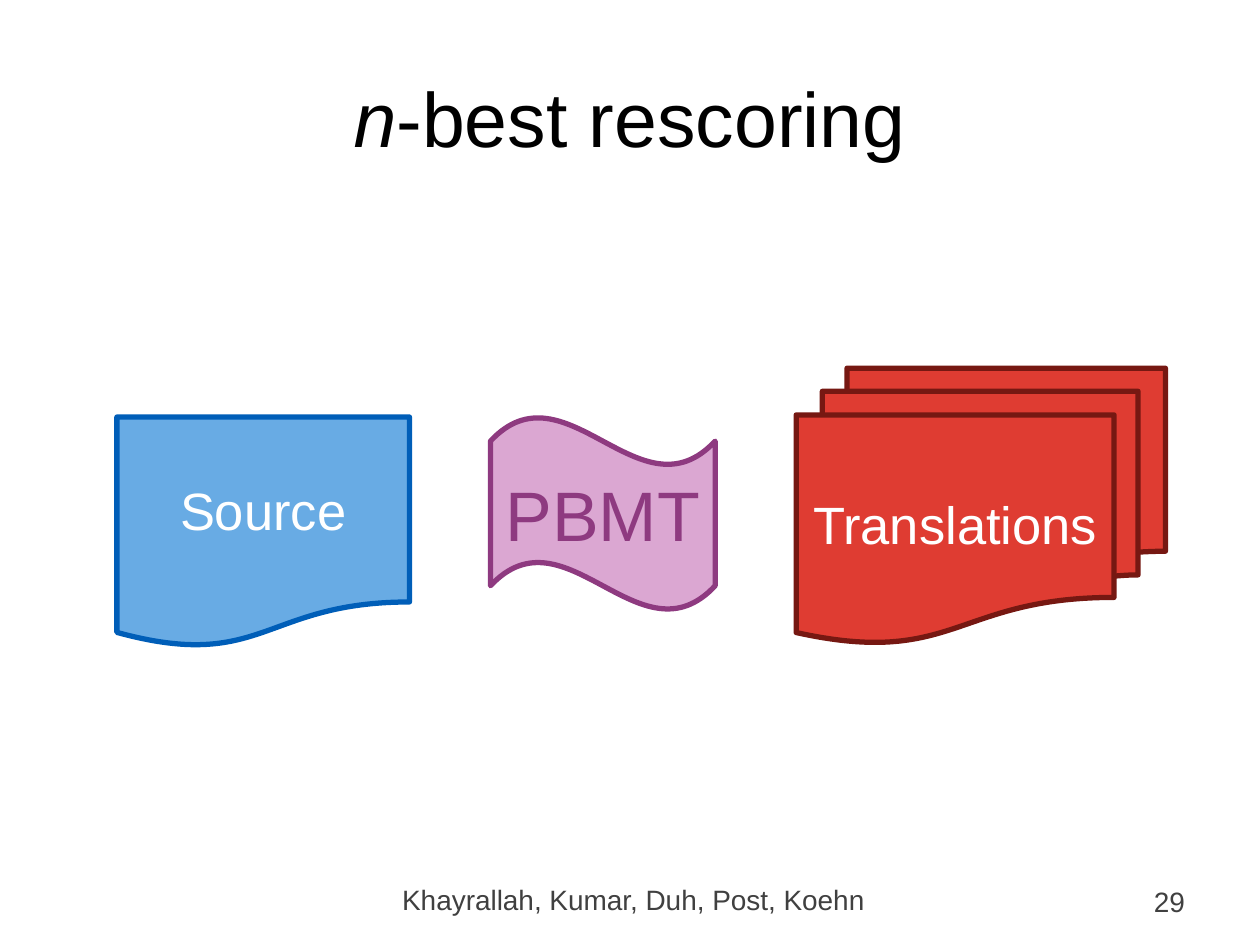
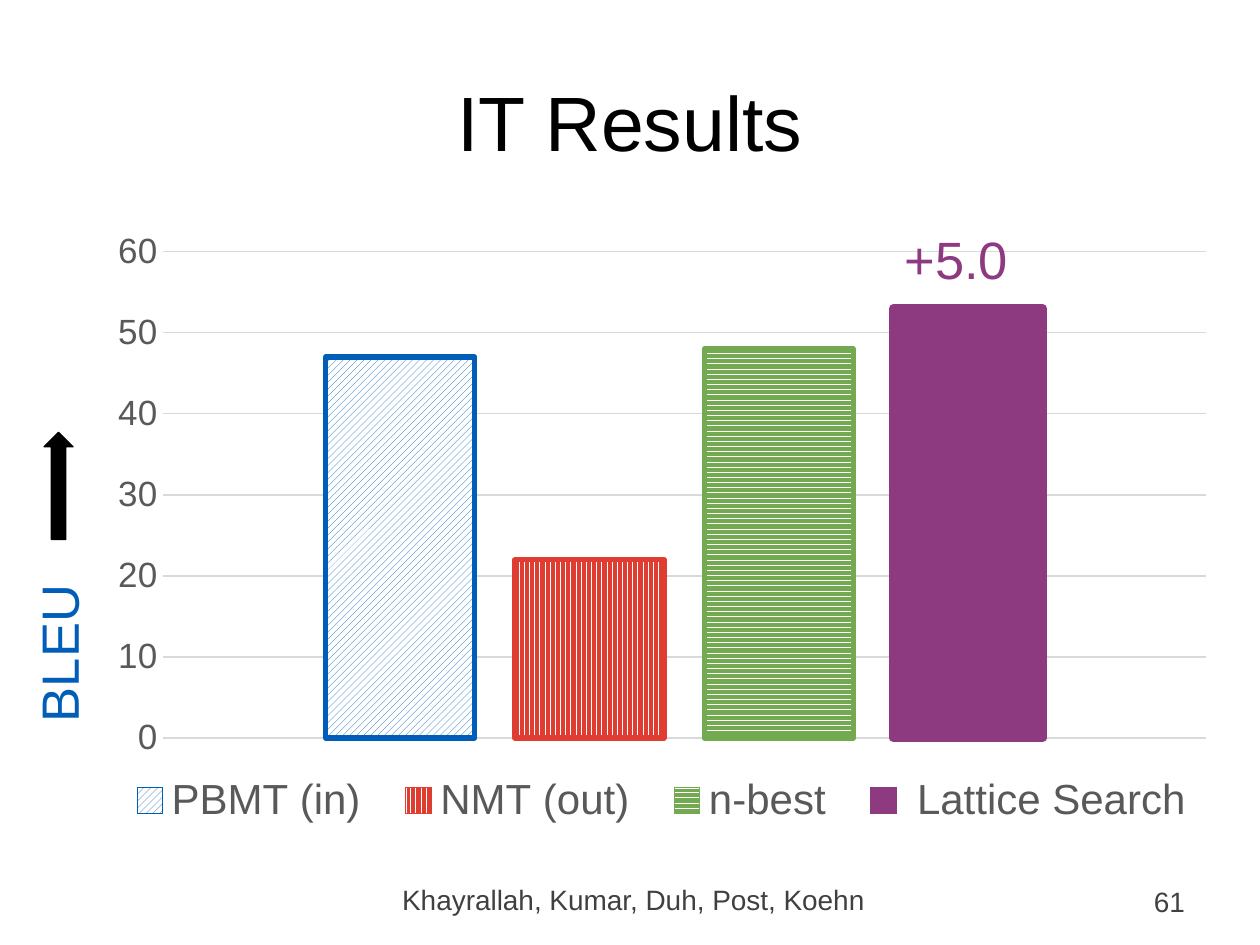
from lxml.etree import SubElement
from pptx import Presentation
from pptx.chart.data import CategoryChartData
from pptx.dml.color import RGBColor
from pptx.enum.chart import XL_CHART_TYPE, XL_LEGEND_POSITION, XL_TICK_MARK
from pptx.enum.dml import MSO_PATTERN
from pptx.enum.shapes import MSO_SHAPE
from pptx.enum.text import MSO_ANCHOR, PP_ALIGN
from pptx.oxml.ns import qn
from pptx.oxml.xmlchemy import OxmlElement
from pptx.util import Pt

FONT = "Arial"
BLACK, WHITE, FOOTER_GREY = "000000", "FFFFFF", "404040"
CHART_GREY, GRID_GREY = "595959", "D9D9D9"
BLUE, LIGHT_BLUE = "005EB8", "68ABE4"
PURPLE, LIGHT_PURPLE = "8E3A80", "DBA7D2"
RED, DARK_RED, GREEN = "DF3C32", "761812", "73A951"


def rgb(color):
    return RGBColor.from_string(color)


def write(shape, text, size, color, align=PP_ALIGN.CENTER,
          anchor=MSO_ANCHOR.MIDDLE, wrap=True, italic_start=0):
    """Fill a shape with one paragraph whose first italic_start letters are italic."""
    frame = shape.text_frame
    frame.word_wrap = wrap
    frame.vertical_anchor = anchor
    paragraph = frame.paragraphs[0]
    paragraph.alignment = align
    for part, italic in ((text[:italic_start], True), (text[italic_start:], False)):
        if part:
            run = paragraph.add_run()
            run.text = part
            run.font.name = FONT
            run.font.size = Pt(size)
            run.font.italic = italic
            run.font.color.rgb = rgb(color)


deck = Presentation()
deck.slide_width, deck.slide_height = Pt(720), Pt(540)

# Title, authors and number on both slides
for heading, italic_start, title_top, number in (
        ("n-best rescoring", 1, 21.6, "29"),
        ("IT Results", 0, 23.8, "61")):
    slide = deck.slides.add_slide(deck.slide_layouts[5])
    title = slide.shapes.title
    title.left, title.top, title.width, title.height = Pt(36), Pt(title_top), Pt(648), Pt(90)
    write(title, heading, 44, BLACK, italic_start=italic_start)
    authors = slide.shapes.add_textbox(Pt(202), Pt(500.5), Pt(320), Pt(28.8))
    write(authors, "Khayrallah, Kumar, Duh, Post, Koehn", 16, FOOTER_GREY,
          anchor=MSO_ANCHOR.TOP)
    page = slide.shapes.add_textbox(Pt(516.2), Pt(500.5), Pt(168), Pt(28.8))
    write(page, number, 16, FOOTER_GREY, align=PP_ALIGN.RIGHT)

rescoring, results = deck.slides

# From source through the translation system to the n-best translations
for preset, left, top, width, height, fill, line, label, size, label_color in (
        (MSO_SHAPE.WAVE, 280.3, 238.3, 128.4, 110.2,
         LIGHT_PURPLE, PURPLE, "PBMT", 40, PURPLE),
        (MSO_SHAPE.FLOWCHART_MULTIDOCUMENT, 455, 210.4, 211, 157,
         RED, DARK_RED, "Translations", 30, WHITE),
        (MSO_SHAPE.FLOWCHART_DOCUMENT, 66.8, 238.3, 167.2, 131.8,
         LIGHT_BLUE, BLUE, "Source", 30, WHITE)):
    stage = rescoring.shapes.add_shape(preset, Pt(left), Pt(top), Pt(width), Pt(height))
    stage.shadow.inherit = False
    stage.fill.solid()
    stage.fill.fore_color.rgb = rgb(fill)
    stage.line.color.rgb = rgb(line)
    stage.line.width = Pt(3)
    write(stage, label, size, label_color)

# BLEU scores by system; a system without a pattern is solid
systems = (
    ("PBMT (in)", 47, BLUE, MSO_PATTERN.WIDE_UPWARD_DIAGONAL, 3),
    ("NMT (out)", 22, RED, MSO_PATTERN.DARK_VERTICAL, 3),
    ("n-best", 48, GREEN, MSO_PATTERN.DARK_HORIZONTAL, 3),
    (" Lattice Search", 53, PURPLE, None, 5),
)
scores = CategoryChartData()
scores.categories = ["1"]
for name, score, *_ in systems:
    scores.add_series(name, [score])
chart = results.shapes.add_chart(XL_CHART_TYPE.COLUMN_CLUSTERED, Pt(54), Pt(126),
                                 Pt(648), Pt(356.4), scores).chart
chart.has_title = False
chart.font.name = FONT
chart.font.size = Pt(10)
chart.category_axis.visible = False

bleu_axis = chart.value_axis
bleu_axis.minimum_scale, bleu_axis.maximum_scale, bleu_axis.major_unit = 0, 60, 10
bleu_axis.major_tick_mark = bleu_axis.minor_tick_mark = XL_TICK_MARK.NONE
bleu_axis.format.line.fill.background()
bleu_axis.major_gridlines.format.line.color.rgb = rgb(GRID_GREY)
bleu_axis.major_gridlines.format.line.width = Pt(0.75)

chart.has_legend = True
chart.legend.position = XL_LEGEND_POSITION.BOTTOM
chart.legend.include_in_layout = False
for font, size in ((bleu_axis.tick_labels.font, 20), (chart.legend.font, 24)):
    font.name = FONT
    font.size = Pt(size)
    font.color.rgb = rgb(CHART_GREY)

# Place plot and legend as fractions of the chart, so the legend keeps one row
plot_area = bleu_axis._element.getparent()
legend = chart.legend._element
for area, index, target, fractions in (
        (plot_area, 0, "inner", (0.0595, 0.0505, 0.9206, 0.7792)),
        (legend, 1, None, (0.01, 0.88, 0.98, 0.1))):
    for automatic in area.findall(qn("c:layout")):
        area.remove(automatic)
    layout = OxmlElement("c:layout")
    area.insert(index, layout)
    manual = SubElement(layout, qn("c:manualLayout"))
    if target:
        SubElement(manual, qn("c:layoutTarget"), val=target)
    for mode in ("c:xMode", "c:yMode"):
        SubElement(manual, qn(mode), val="edge")
    for side, fraction in zip(("c:x", "c:y", "c:w", "c:h"), fractions):
        SubElement(manual, qn(side), val=str(round(fraction, 2)))

bars = chart.plots[0]
bars.gap_width, bars.overlap = 219, -27
bars.vary_by_categories = False
for bar, (_, _, color, pattern, outline) in zip(bars.series, systems):
    bar.invert_if_negative = False
    fill = bar.format.fill
    if pattern is None:
        fill.solid()
    else:
        fill.patterned()
        fill.pattern = pattern
        fill.back_color.rgb = rgb(WHITE)
    fill.fore_color.rgb = rgb(color)
    bar.format.line.color.rgb = rgb(color)
    bar.format.line.width = Pt(outline)

gain = results.shapes.add_textbox(Pt(509.8), Pt(126), Pt(74.2), Pt(43.9))
write(gain, "+5.0", 30, PURPLE, align=PP_ALIGN.LEFT, anchor=MSO_ANCHOR.TOP, wrap=False)

metric = results.shapes.add_textbox(Pt(-18.7), Pt(345.6), Pt(104.4), Pt(43.9))
metric.rotation = 270
write(metric, "BLEU", 30, BLUE, align=PP_ALIGN.LEFT, anchor=MSO_ANCHOR.TOP)

better = results.shapes.add_shape(MSO_SHAPE.UP_ARROW, Pt(25.2), Pt(247), Pt(16.6), Pt(61.2))
better.shadow.inherit = False
better.fill.solid()
better.fill.fore_color.rgb = rgb(BLACK)
better.line.color.rgb = rgb(BLACK)
better.line.width = Pt(0.75)

deck.save("out.pptx")
